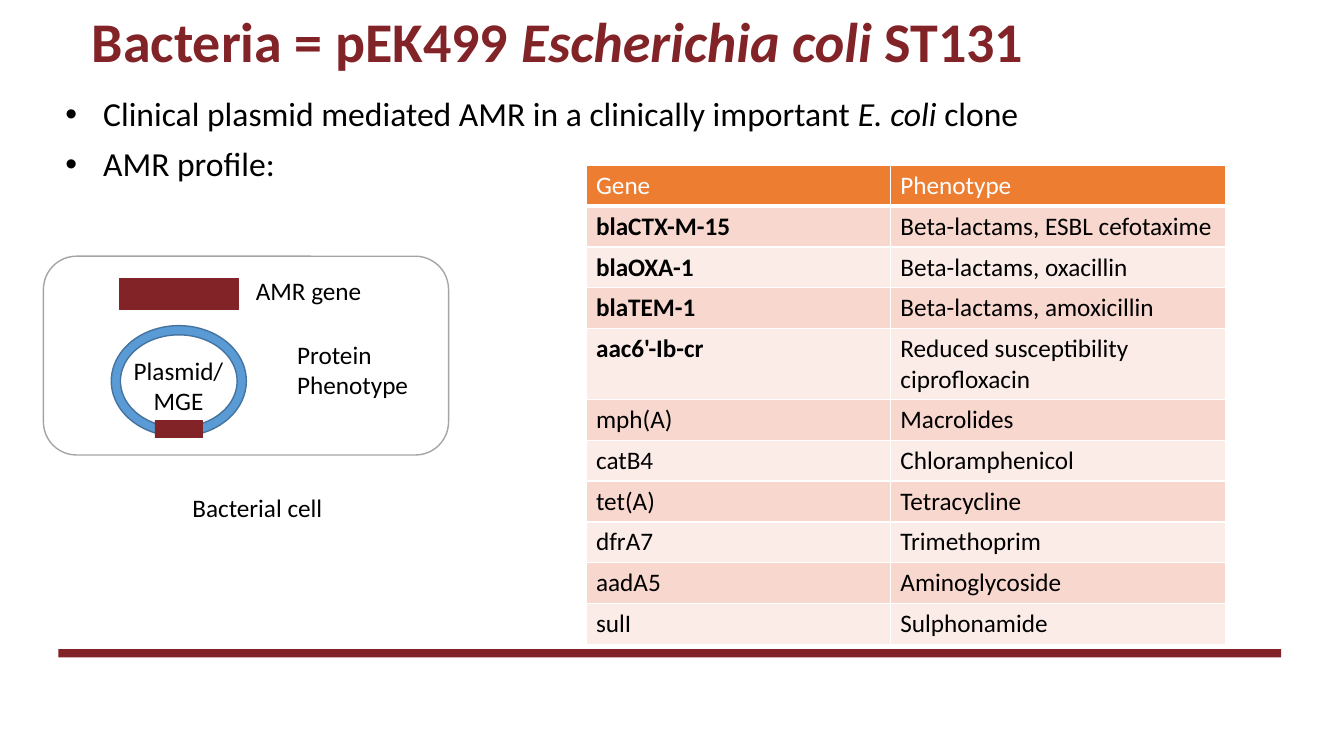
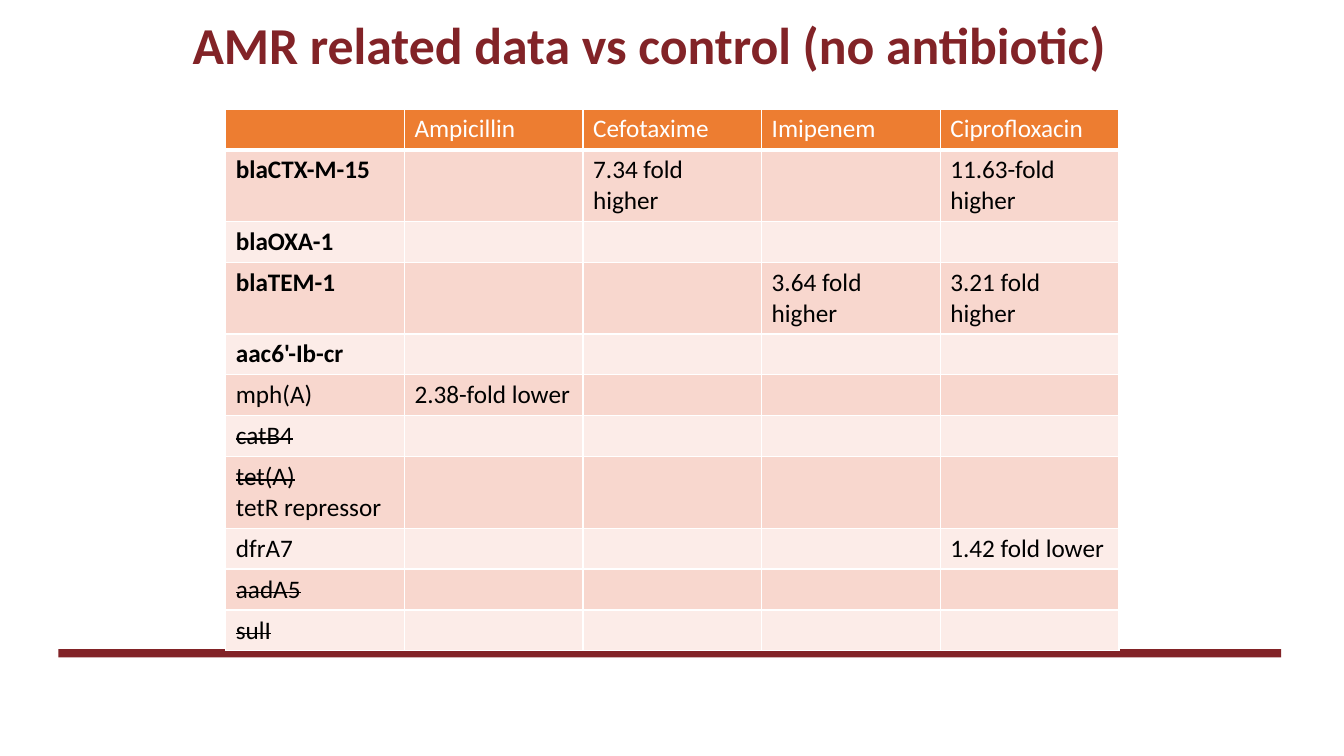
from dataclasses import dataclass, field
from typing import Any

from lxml.etree import SubElement
from pptx import Presentation
from pptx.dml.color import RGBColor
from pptx.enum.shapes import MSO_SHAPE
from pptx.enum.text import MSO_ANCHOR, MSO_AUTO_SIZE, PP_ALIGN
from pptx.oxml.ns import qn
from pptx.util import Pt


@dataclass(frozen=True)
class Theme:
    font: str = "Calibri"
    maroon: str = "822327"
    orange: str = "ED7D31"
    dark_row: str = "F8D7CE"
    light_row: str = "FCECE8"
    blue: str = "5B9BD5"
    blue_edge: str = "43739E"
    grey: str = "A5A5A5"
    white: str = "FFFFFF"
    black: str = "000000"
    wide_title: float = 40
    long_title: float = 37
    bullet: float = 24
    label: float = 18


@dataclass(frozen=True)
class Frame:
    left: float
    top: float
    width: float
    height: float

    def lengths(self) -> tuple:
        return Pt(self.left), Pt(self.top), Pt(self.width), Pt(self.height)


@dataclass(frozen=True)
class Span:
    text: str
    bold: bool = False
    italic: bool = False
    struck: bool = False


@dataclass(frozen=True)
class Figure:
    preset: MSO_SHAPE
    frame: Frame
    fill: str | None = None
    line: str | None = None
    weight: float = 1
    adjustment: float | None = None


@dataclass(frozen=True)
class Label:
    frame: Frame
    lines: tuple[str, ...]
    align: PP_ALIGN = PP_ALIGN.LEFT


@dataclass(frozen=True)
class Gene:
    name: str
    phenotype: str
    bold: bool = False
    struck: bool = False
    note: str = ""
    changes: dict[str, str] = field(default_factory=dict)


Paragraphs = list[list[Span]]
THEME = Theme()
ROW_HEIGHT = 29.2
BAND = Figure(MSO_SHAPE.RECTANGLE, Frame(41.8, 463.7, 873.4, 5.8), THEME.maroon)
SPACED = {"line_spacing": 0.9, "space_before": Pt(10)}
DRUGS = ["Ampicillin", "Cefotaxime", "Imipenem", "Ciprofloxacin"]
GENES = [
    Gene("blaCTX-M-15", "Beta-lactams, ESBL cefotaxime", bold=True,
         changes={"Cefotaxime": "7.34 fold higher", "Ciprofloxacin": "11.63-fold higher"}),
    Gene("blaOXA-1", "Beta-lactams, oxacillin", bold=True),
    Gene("blaTEM-1", "Beta-lactams, amoxicillin", bold=True,
         changes={"Imipenem": "3.64 fold higher", "Ciprofloxacin": "3.21 fold higher"}),
    Gene("aac6'-Ib-cr", "Reduced susceptibility ciprofloxacin", bold=True),
    Gene("mph(A)", "Macrolides", changes={"Ampicillin": "2.38-fold lower"}),
    Gene("catB4", "Chloramphenicol", struck=True),
    Gene("tet(A)", "Tetracycline", struck=True, note="tetR repressor"),
    Gene("dfrA7", "Trimethoprim", changes={"Ciprofloxacin": "1.42 fold lower"}),
    Gene("aadA5", "Aminoglycoside", struck=True),
    Gene("sulI", "Sulphonamide", struck=True),
]
CELL_FIGURES = [
    Figure(MSO_SHAPE.DONUT, Frame(79.5, 232.6, 96.5, 79.2), THEME.blue, THEME.blue_edge,
           adjustment=0.083),
    Figure(MSO_SHAPE.RECTANGLE, Frame(85.2, 198.9, 85, 22.3), THEME.maroon, THEME.maroon, 0.5),
    Figure(MSO_SHAPE.RECTANGLE, Frame(110.7, 300.4, 34, 12.2), THEME.maroon, THEME.maroon, 0.5),
    Figure(MSO_SHAPE.ROUNDED_RECTANGLE, Frame(31, 183, 289.4, 142), line=THEME.grey),
]
CELL_LABELS = [
    Label(Frame(175.7, 193, 101.5, 29), ("AMR gene",)),
    Label(Frame(85, 250, 85, 51), ("Plasmid/MGE",), PP_ALIGN.CENTER),
    Label(Frame(205.2, 238.5, 99.4, 51), ("Protein", "Phenotype")),
]
CAPTION = Label(Frame(130.3, 348, 118.8, 29), ("Bacterial cell",))


def assign(target: Any, values: dict[str, Any]) -> None:
    for name, value in values.items():
        setattr(target, name, value)


def write(text_frame: Any, paragraphs: Paragraphs, size: float, color: str,
          layout: dict[str, Any]) -> None:
    for index, spans in enumerate(paragraphs):
        para = text_frame.add_paragraph() if index else text_frame.paragraphs[0]
        assign(para, layout)
        for part in spans:
            span = para.add_run()
            span.text = part.text
            assign(span.font, {"name": THEME.font, "size": Pt(size),
                               "bold": part.bold, "italic": part.italic})
            span.font.color.rgb = RGBColor.from_string(color)
            if part.struck:
                span._r.get_or_add_rPr().set("strike", "sngStrike")


def draw_figure(shapes: Any, figure: Figure) -> None:
    shape = shapes.add_shape(figure.preset, *figure.frame.lengths())
    shape.shadow.inherit = False
    if figure.adjustment is not None:
        shape.adjustments[0] = figure.adjustment
    if figure.fill:
        shape.fill.solid()
        shape.fill.fore_color.rgb = RGBColor.from_string(figure.fill)
    else:
        shape.fill.background()
    if figure.line:
        shape.line.color.rgb = RGBColor.from_string(figure.line)
        shape.line.width = Pt(figure.weight)
    else:
        shape.line.fill.background()


def draw_label(shapes: Any, label: Label) -> None:
    box = shapes.add_textbox(*label.frame.lengths())
    box.text_frame.word_wrap = True
    write(box.text_frame, [[Span(line)] for line in label.lines], THEME.label, THEME.black,
          {"alignment": label.align})


def add_page(deck: Any, frame: Frame, spans: list[Span], size: float, align: PP_ALIGN) -> Any:
    page = deck.slides.add_slide(deck.slide_layouts[5])
    title = page.shapes.title
    left, top, width, height = frame.lengths()
    assign(title, {"left": left, "top": top, "width": width, "height": height})
    assign(title.text_frame, {"vertical_anchor": MSO_ANCHOR.TOP, "word_wrap": True,
                              "auto_size": MSO_AUTO_SIZE.NONE})
    write(title.text_frame, [spans], size, THEME.maroon, {"alignment": align, **SPACED})
    draw_figure(page.shapes, BAND)
    return page


def draw_bullets(page: Any, frame: Frame, paragraphs: Paragraphs) -> None:
    box = page.shapes.add_textbox(*frame.lengths())
    box.text_frame.word_wrap = True
    write(box.text_frame, paragraphs, THEME.bullet, THEME.black, SPACED)
    for para in box.text_frame.paragraphs:
        properties = para._p.get_or_add_pPr()
        properties.set("marL", str(Pt(27)))
        properties.set("indent", str(-Pt(27)))
        SubElement(properties, qn("a:buFont"), typeface="Arial")
        SubElement(properties, qn("a:buChar"), char="•")


def draw_borders(cell: Any, bottom: float) -> None:
    properties = cell._tc.get_or_add_tcPr()
    for edge, weight in {"lnL": 1, "lnR": 1, "lnT": 1, "lnB": bottom}.items():
        line = SubElement(properties, qn(f"a:{edge}"), w=str(Pt(weight)))
        fill = SubElement(line, qn("a:solidFill"))
        SubElement(fill, qn("a:srgbClr"), val=THEME.white)


def draw_table(page: Any, left: float, top: float, widths: list[float],
               rows: list[list[Paragraphs]]) -> None:
    frame = Frame(left, top, sum(widths), ROW_HEIGHT * len(rows))
    table = page.shapes.add_table(len(rows), len(widths), *frame.lengths()).table
    for column, width in zip(table.columns, widths):
        column.width = Pt(width)
    for row_index, row in enumerate(rows):
        header = row_index == 0
        banding = THEME.dark_row if row_index % 2 else THEME.light_row
        for column_index, paragraphs in enumerate(row):
            cell = table.cell(row_index, column_index)
            draw_borders(cell, 3 if header else 1)
            cell.fill.solid()
            cell.fill.fore_color.rgb = RGBColor.from_string(THEME.orange if header else banding)
            write(cell.text_frame, paragraphs, THEME.label,
                  THEME.white if header else THEME.black, {})


def plain(text: str) -> Paragraphs:
    return [[Span(text)]] if text else []


def result_row(gene: Gene) -> list[Paragraphs]:
    name = [[Span(gene.name, bold=gene.bold, struck=gene.struck)]] + plain(gene.note)
    return [name] + [plain(gene.changes.get(drug, "")) for drug in DRUGS]


def build_profile(deck: Any) -> None:
    page = add_page(deck, Frame(27.4, 6.5, 741.6, 79.2), [
        Span("Bacteria = pEK499 ", bold=True),
        Span("Escherichia coli ", bold=True, italic=True),
        Span("ST131", bold=True),
    ], THEME.wide_title, PP_ALIGN.CENTER)
    draw_bullets(page, Frame(39.6, 66.2, 729.4, 300), [
        [Span("Clinical plasmid mediated AMR in a clinically important "),
         Span("E. coli ", italic=True), Span("clone")],
        [Span("AMR profile:")],
    ])
    rows = [[plain("Gene"), plain("Phenotype")]]
    rows += [[[[Span(gene.name, bold=gene.bold)]], plain(gene.phenotype)] for gene in GENES]
    draw_table(page, 418.6, 118, [217.4, 239.8], rows)
    draw_label(page.shapes, CAPTION)
    bacterial_cell = page.shapes.add_group_shape()
    for figure in CELL_FIGURES:
        draw_figure(bacterial_cell.shapes, figure)
    for label in CELL_LABELS:
        draw_label(bacterial_cell.shapes, label)


def build_results(deck: Any) -> None:
    page = add_page(deck, Frame(130.3, 10.8, 699.8, 79.2), [
        Span("AMR related data vs control (no antibiotic)", bold=True),
    ], THEME.long_title, PP_ALIGN.LEFT)
    rows = [[plain(heading) for heading in ["", *DRUGS]]]
    rows += [result_row(gene) for gene in GENES]
    draw_table(page, 161.3, 77.8, [127.6] * (len(DRUGS) + 1), rows)


def main() -> None:
    deck = Presentation()
    assign(deck, {"slide_width": Pt(960), "slide_height": Pt(540)})
    build_profile(deck)
    build_results(deck)
    deck.save("out.pptx")


main()
